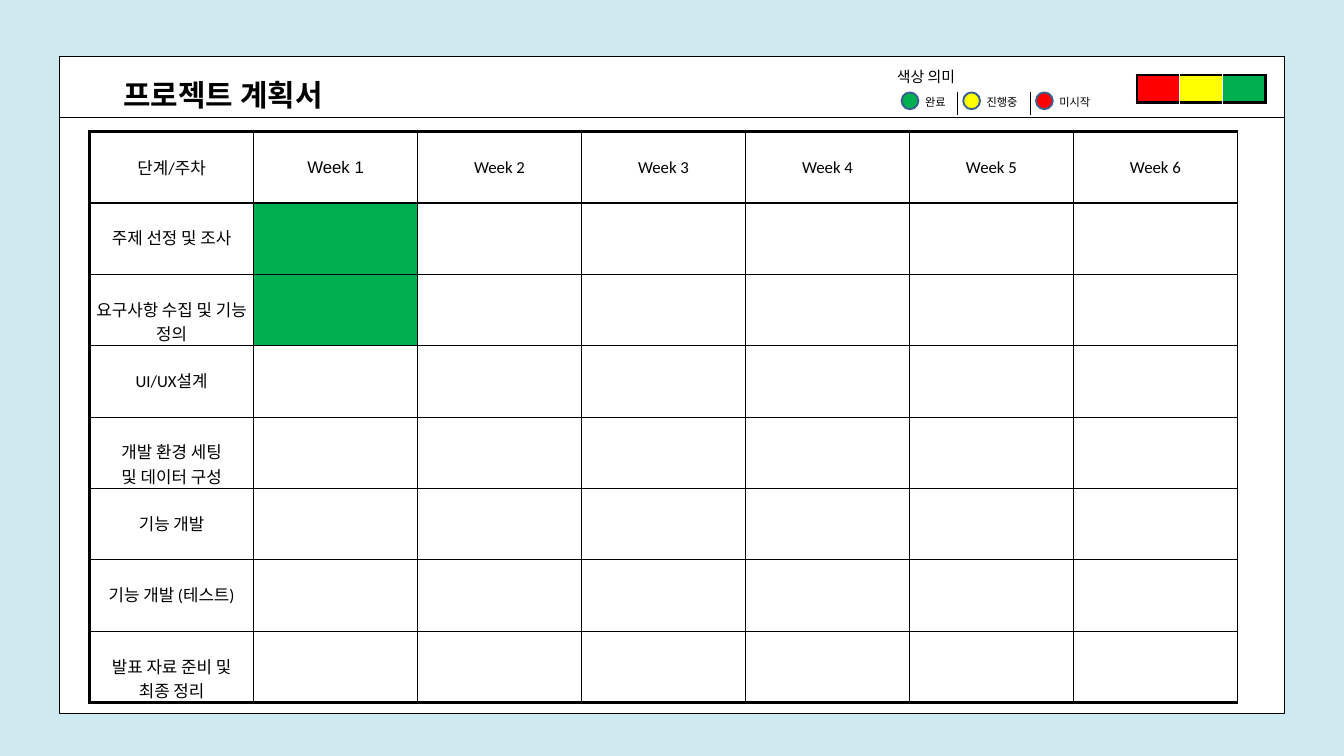
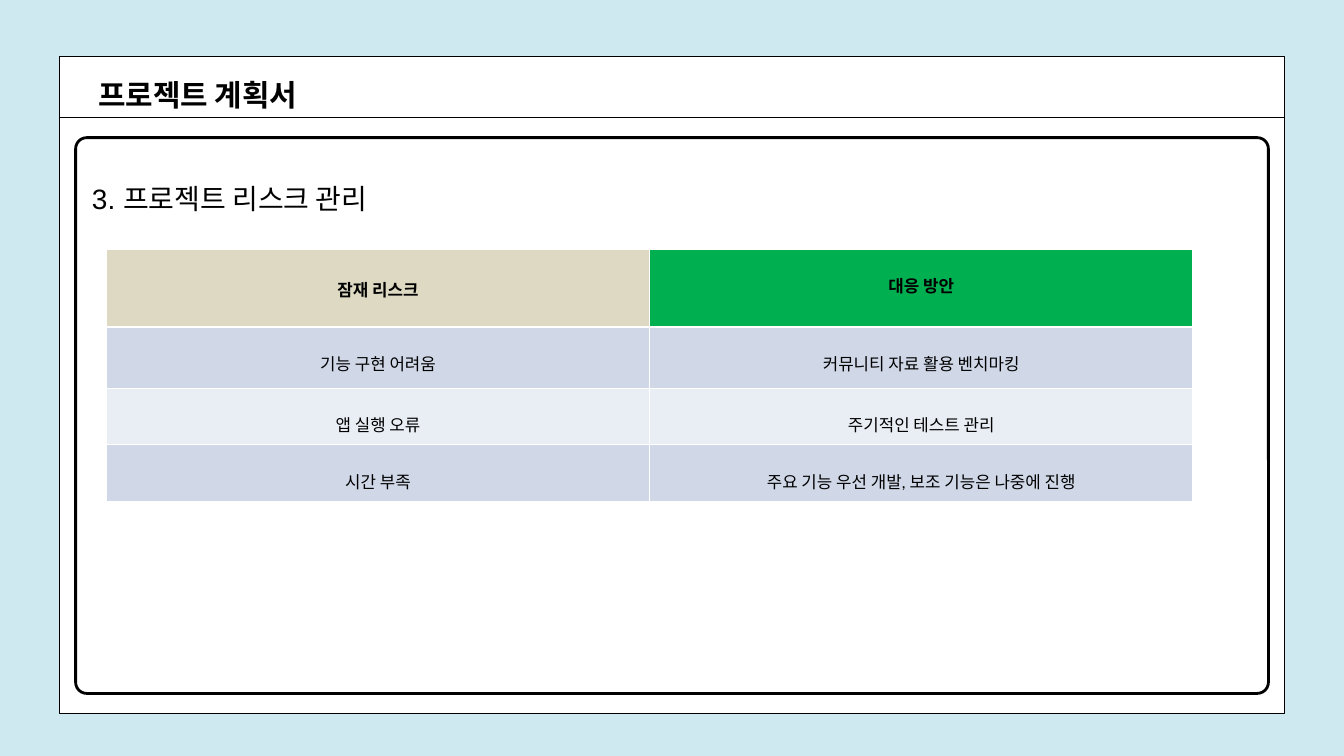
"""Builds the project plan slides: a six-week schedule and a risk table."""
from lxml.etree import SubElement
from pptx import Presentation
from pptx.dml.color import RGBColor
from pptx.enum.shapes import MSO_CONNECTOR, MSO_SHAPE
from pptx.enum.text import MSO_ANCHOR, MSO_AUTO_SIZE, PP_ALIGN
from pptx.oxml.ns import qn
from pptx.util import Pt

BLACK, WHITE, SKY = "000000", "FFFFFF", "CFE9F0"
GREEN, YELLOW, RED = "00B050", "FFFF00", "FF0000"
DOT_LINE, SAND, BAND_DARK, BAND_LIGHT = "3A5F8C", "DDD9C3", "D0D8E8", "E9EDF4"

TITLE = "프로젝트 계획서"
STAGE_HEADER = "단계/주차"
WEEKS = ["Week 1", "Week 2", "Week 3", "Week 4", "Week 5", "Week 6"]
STAGES = [
    (["주제 선정 및 조사"], [GREEN]),
    (["요구사항 수집 및 기능 정의"], [GREEN]),
    (["UI/UX설계"], []),
    (["개발 환경 세팅", "및 데이터 구성"], []),
    (["기능 개발"], []),
    (["기능 개발 (테스트)"], []),
    (["발표 자료 준비 및 최종 정리"], []),
]
LEGEND_TITLE = "색상 의미"
LEGEND = [("완료", GREEN, 966), ("진행중", YELLOW, 1032), ("미시작", RED, 1110)]
SWATCHES = [RED, YELLOW, GREEN]

RISK_HEADING = "3. 프로젝트 리스크 관리"
RISK_HEADERS = [("잠재 리스크", "Arial", SAND, 30), ("대응 방안", "Calibri", GREEN, 26)]
RISKS = [
    ("기능 구현 어려움", "커뮤니티 자료 활용 벤치마킹"),
    ("앱 실행 오류", "주기적인 테스트 관리"),
    ("시간 부족", "주요 기능 우선 개발, 보조 기능은 나중에 진행"),
]


def color(hex_value):
    return RGBColor.from_string(hex_value)


def add_run(paragraph, text, size, font="Calibri", bold=False):
    run = paragraph.add_run()
    run.text = text
    run.font.size = Pt(size)
    run.font.name = font
    run.font.bold = bold
    run.font.color.rgb = color(BLACK)


def place(shape, left, top, width, height):
    shape.left, shape.top = Pt(left), Pt(top)
    shape.width, shape.height = Pt(width), Pt(height)


def add_box(slide, kind, box, fill, line, line_width):
    shape = slide.shapes.add_shape(kind, *map(Pt, box))
    shape.shadow.inherit = False
    shape.fill.solid()
    shape.fill.fore_color.rgb = color(fill)
    shape.line.color.rgb = color(line)
    shape.line.width = Pt(line_width)
    return shape


def add_line(slide, start, end, width):
    line = slide.shapes.add_connector(MSO_CONNECTOR.STRAIGHT, *map(Pt, start + end))
    line.line.color.rgb = color(BLACK)
    line.line.width = Pt(width)
    SubElement(line.element.spPr, qn("a:effectLst"))


def add_label(slide, text, left, top, width, height, size):
    frame = slide.shapes.add_textbox(*map(Pt, (left, top, width, height))).text_frame
    frame.word_wrap = True
    add_run(frame.paragraphs[0], text, size)


def fill_placeholder(placeholder, box, text, size, spacing, align, bold=False):
    """Moves a placeholder to the front and gives it one line of text."""
    placeholder.element.getparent().append(placeholder.element)
    place(placeholder, *box)
    frame = placeholder.text_frame
    frame.auto_size = MSO_AUTO_SIZE.NONE
    frame.vertical_anchor = MSO_ANCHOR.TOP
    frame.margin_left = frame.margin_top = frame.margin_right = frame.margin_bottom = 0
    paragraph = frame.paragraphs[0]
    paragraph.alignment = align
    paragraph.line_spacing = Pt(spacing)
    paragraph.space_before = Pt(0)
    add_run(paragraph, text, size, "Arial", bold)
    return paragraph


def add_page(presentation, layout_index, title_width):
    slide = presentation.slides.add_slide(presentation.slide_layouts[layout_index])
    slide.background.fill.solid()
    slide.background.fill.fore_color.rgb = color(SKY)
    add_box(slide, MSO_SHAPE.RECTANGLE, (64, 60.5, 1312, 704), WHITE, BLACK, 1.5)
    add_line(slide, (64, 126), (1376, 126), 1.5)
    fill_placeholder(slide.shapes.title, (94.5, 75.5, title_width, 45), TITLE, 32, 44.8,
                     PP_ALIGN.CENTER, bold=True)
    return slide


def add_border(cell, side, line):
    hex_value, width = line
    border = SubElement(cell._tc.get_or_add_tcPr(), qn("a:ln" + side), w=str(Pt(width)))
    SubElement(SubElement(border, qn("a:solidFill")), qn("a:srgbClr"), val=hex_value)


def add_grid(slide, left, top, widths, heights, outer, inner, header_line=None):
    """Adds an unstyled table; outer holds the left, top, right and bottom lines."""
    rows, columns = len(heights), len(widths)
    table = slide.shapes.add_table(rows, columns, Pt(left), Pt(top),
                                   Pt(sum(widths)), Pt(sum(heights))).table
    table.first_row = table.horz_banding = False
    for column, width in zip(table.columns, widths):
        column.width = Pt(width)
    for row, height in zip(table.rows, heights):
        row.height = Pt(height)
    below_header = header_line or inner
    for r in range(rows):
        for c in range(columns):
            cell = table.cell(r, c)
            add_border(cell, "L", inner if c else outer[0])
            add_border(cell, "R", inner if c < columns - 1 else outer[2])
            add_border(cell, "T", outer[1] if r == 0 else below_header if r == 1 else inner)
            add_border(cell, "B", outer[3] if r == rows - 1 else inner if r else below_header)
            cell.fill.background()
    return table


def fill_cell(cell, hex_value):
    cell.fill.solid()
    cell.fill.fore_color.rgb = color(hex_value)


def write_cell(cell, lines, font="Calibri", bold=False, top_margin=None):
    """Writes centred lines, in the middle unless a top margin is given."""
    if top_margin is None:
        cell.vertical_anchor = MSO_ANCHOR.MIDDLE
    else:
        cell.margin_top, cell.margin_bottom = Pt(top_margin), 0
    for index, line in enumerate(lines):
        frame = cell.text_frame
        paragraph = frame.add_paragraph() if index else frame.paragraphs[0]
        paragraph.alignment = PP_ALIGN.CENTER
        add_run(paragraph, line, 18, font, bold)


def add_legend(slide):
    add_label(slide, LEGEND_TITLE, 954, 69, 114, 26.5, 16)
    for index, (text, hex_value, left) in enumerate(LEGEND):
        add_box(slide, MSO_SHAPE.OVAL, (left, 99, 18, 18), hex_value, DOT_LINE, 2)
        add_label(slide, text, left + 18, 99, 60, 22, 12)
        if index:
            add_line(slide, (left - 6, 99), (left - 6, 123), 0.75)
    thick = (BLACK, 3)
    swatches = add_grid(slide, 1218, 80.5, [46] * len(SWATCHES), [29.5], [thick] * 4, (WHITE, 1))
    for column, hex_value in enumerate(SWATCHES):
        cell = swatches.cell(0, column)
        cell.margin_top = cell.margin_bottom = 0
        fill_cell(cell, hex_value)


def add_schedule_slide(presentation):
    slide = add_page(presentation, 5, 289)
    thick, thin = (BLACK, 3), (BLACK, 1.5)
    schedule = add_grid(slide, 96, 141, [175.7] * (len(WEEKS) + 1), [76.5] * (len(STAGES) + 1),
                        (thick, thick, thin, thick), thin)
    write_cell(schedule.cell(0, 0), [STAGE_HEADER])
    for column, week in enumerate(WEEKS, 1):
        write_cell(schedule.cell(0, column), [week], "Arial" if column == 1 else "Calibri")
    for row, (lines, statuses) in enumerate(STAGES, 1):
        write_cell(schedule.cell(row, 0), lines, top_margin=24)
        for column, status in enumerate(statuses, 1):
            fill_cell(schedule.cell(row, column), status)
    add_legend(slide)


def add_risk_slide(presentation):
    slide = add_page(presentation, 1, 235)
    frame = add_box(slide, MSO_SHAPE.ROUNDED_RECTANGLE, (81, 147.5, 1278, 595.5),
                    WHITE, BLACK, 3)
    frame.adjustments[0] = 0.02
    heading = fill_placeholder(slide.placeholders[1], (98.5, 195, 1240, 36), RISK_HEADING,
                               30, 36, PP_ALIGN.LEFT)
    properties = heading._p.get_or_add_pPr()
    properties.set("marL", "0")
    properties.set("indent", "0")
    SubElement(properties, qn("a:buNone"))

    thin = (WHITE, 1)
    risks = add_grid(slide, 114, 267, [582, 582], [83.5, 65.5, 60.5, 60.5], [thin] * 4, thin,
                     header_line=(WHITE, 3))
    for column, (text, font, hex_value, margin) in enumerate(RISK_HEADERS):
        write_cell(risks.cell(0, column), [text], font, True, margin)
        fill_cell(risks.cell(0, column), hex_value)
    for row, texts in enumerate(RISKS, 1):
        for column, text in enumerate(texts):
            write_cell(risks.cell(row, column), [text], top_margin=26)
            fill_cell(risks.cell(row, column), BAND_DARK if row % 2 else BAND_LIGHT)


def main():
    presentation = Presentation()
    presentation.slide_width, presentation.slide_height = Pt(1440), Pt(810)
    add_schedule_slide(presentation)
    add_risk_slide(presentation)
    presentation.save("out.pptx")


if __name__ == "__main__":
    main()
